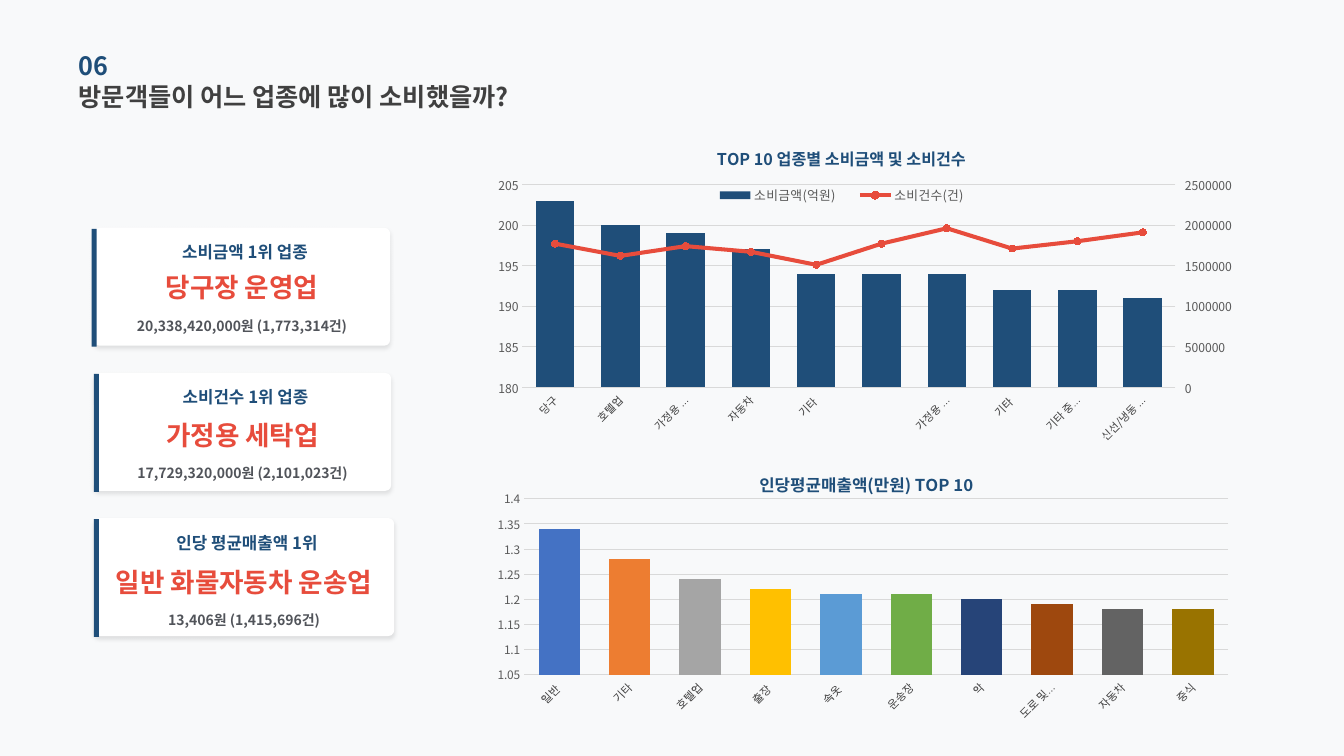
from copy import deepcopy

from lxml.etree import SubElement as Sub
from pptx import Presentation
from pptx.chart.axis import CategoryAxis as CatAxis, ValueAxis as ValAxis
from pptx.chart.data import CategoryChartData as ChartData
from pptx.dml.color import RGBColor as RGB
from pptx.enum.chart import (XL_CHART_TYPE as Kind, XL_LEGEND_POSITION as Spot,
                             XL_MARKER_STYLE as Mark, XL_TICK_MARK as Tick)
from pptx.enum.shapes import MSO_SHAPE as Form
from pptx.enum.text import MSO_ANCHOR as Anchor, MSO_AUTO_SIZE as Auto, PP_ALIGN as Align
from pptx.oxml import parse_xml
from pptx.oxml.ns import nsdecls, qn
from pptx.util import Inches, Pt

class Theme:
    font, base = "Noto Sans CJK KR", "Calibri"
    back, white, black = "F8F9FA", "FFFFFF", "000000"
    dark, note, gray, grid = "404040", "51545A", "595959", "D9D9D9"
    navy, red = "1F4E79", "E74C3C"
    bars = ("4472C4", "ED7D31", "A5A5A5", "FFC000", "5B9BD5",
            "70AD47", "264478", "9E480E", "636363", "997300")
    head, big, label, small = 18, 19, 12, 10
    cat, tick, fine, key = 8, 9, 8.5, 9.5

CARDS = [("소비금액 1위 업종", "당구장 운영업", "20,338,420,000원 (1,773,314건)"),
         ("소비건수 1위 업종", "가정용 세탁업", "17,729,320,000원 (2,101,023건)"),
         ("인당 평균매출액 1위", "일반 화물자동차 운송업", "13,406원 (1,415,696건)")]
SPEND = ["당구장 운영업", "호텔업", "가정용 액체 연료 소매업", "자동차 전문 수리업",
         "기타 통신 판매업", "연극단체", "가정용 직물제품 소매업", "기타 오락장 운영업",
         "기타 중고 상품 소매업", "신선/냉동 및 기타 수산물 소매업"]
SUMS = [203, 200, 199, 197, 194, 194, 194, 192, 192, 191]
COUNTS = [1770000, 1620000, 1740000, 1670000, 1510000,
          1770000, 1960000, 1710000, 1800000, 1910000]
SALES = ["일반 화물자동차 운송업", "기타 통신 판매업", "호텔업", "출장 음식 서비스업",
         "속옷 및 잠옷 소매업", "운송장비용 주유소 운영업", "악기 소매업",
         "도로 및 관련시설 운영업", "자동차 전문 수리업", "중식 음식점업"]
MEANS = [1.34, 1.28, 1.24, 1.22, 1.21, 1.21, 1.2, 1.19, 1.18, 1.18]

def paint(fill, color):
    fill.solid()
    fill.fore_color.rgb = RGB.from_string(color)

def style(font, size, color, bold=False, face=Theme.font):
    font.size, font.bold, font.name = Pt(size), bold, face
    paint(font.fill, color)

def write(shape, text, size, color, align=Align.LEFT):
    frame = shape.text_frame
    frame.text = text
    frame.word_wrap, frame.auto_size = True, Auto.NONE
    frame.vertical_anchor = Anchor.MIDDLE
    frame.margin_left = frame.margin_top = frame.margin_right = frame.margin_bottom = 0
    frame.paragraphs[0].alignment = align
    font = frame.paragraphs[0].runs[0].font
    style(font, size, color, True)
    latin = font._element.find(qn("a:latin"))
    latin.addnext(latin.makeelement(qn("a:ea"), {"typeface": Theme.font}))

def block(shapes, form, box, color):
    shape = shapes.add_shape(form, *map(Inches, box))
    shape.shadow.inherit = False
    paint(shape.fill, color)
    shape.line.fill.background()
    return shape

# Heading: number above the question
def heading(slide, box):
    x, y, w, h = box
    title = slide.shapes.title
    title.left, title.top, title.width, title.height = map(Inches, (x, y + 0.31, w, h))
    write(title, "방문객들이 어느 업종에 많이 소비했을까?", Theme.head, Theme.dark)
    num = slide.shapes.add_textbox(*map(Inches, box))
    write(num, "06", Theme.head, Theme.navy)

# Card: white panel, three lines of text and a side bar
def card(slide, box, lines, shift, edge):
    x, y, w, h = box
    group = slide.shapes.add_group_shape().shapes
    panel = block(group, Form.ROUNDED_RECTANGLE, box, Theme.white)
    panel.adjustments[0] = 0.05
    glow = Sub(panel._element.spPr.find(qn("a:effectLst")), qn("a:outerShdw"),
               blurRad=str(Pt(3)), dist=str(Pt(2)), dir="5400000")
    Sub(Sub(glow, qn("a:srgbClr"), val=Theme.black), qn("a:alpha"), val="10000")
    rows = [(0.03, 0.13, 0.22, Theme.label, Theme.navy),
            (0, 0.42 + shift, 0.34, Theme.big, Theme.red),
            (0, 0.89 + shift, 0.17, Theme.small, Theme.note)]
    for text, (dx, dy, tall, size, color) in zip(lines, rows):
        part = group.add_textbox(*map(Inches, (x + dx, y + dy, w, tall)))
        write(part, text, size, color, Align.CENTER)
    block(slide.shapes, Form.RECTANGLE, (edge, y + 0.01, 0.05, h), Theme.navy)

# Fixed position of a chart part, in shares of the chart
def pin(part, *box):
    for old in part.findall(qn("c:layout")):
        part.remove(old)
    goal = '<c:layoutTarget val="inner"/>' if part.tag == qn("c:plotArea") else ""
    sides = "".join(f'<c:{tag} val="{val}"/>' for tag, val in zip("xywh", box))
    layout = parse_xml(f'<c:layout {nsdecls("c")}><c:manualLayout>{goal}<c:xMode val="edge"/>'
                       f'<c:yMode val="edge"/>{sides}</c:manualLayout></c:layout>')
    over = part.find(qn("c:overlay"))
    if over is None:
        part.insert(0, layout)
    else:
        over.addprevious(layout)

def scale(axis, low, high, step):
    axis.minimum_scale, axis.maximum_scale, axis.major_unit = low, high, step

# Column chart with its title and axes
def columns(slide, box, names, rows, title, spot, plot, span, size):
    data = ChartData()
    data.categories = names
    for name, vals in rows:
        data.add_series(name, vals)
    chart = slide.shapes.add_chart(Kind.COLUMN_CLUSTERED, *map(Inches, box), data).chart
    style(chart.font, Theme.small, Theme.black, face=Theme.base)
    chart.has_legend = False
    head = chart.chart_title
    head.text_frame.text = title
    style(head.text_frame.paragraphs[0].runs[0].font, Theme.label, Theme.navy, True)
    pin(head._element, *spot)
    pin(chart._chartSpace.chart.plotArea, *plot)
    bars = chart.plots[0]
    bars.gap_width, bars.overlap, bars.vary_by_categories = 70, -27, False
    cat, val = chart.category_axis, chart.value_axis
    for axis, pts in ((cat, Theme.cat), (val, size)):
        axis.major_tick_mark = Tick.NONE
        style(axis.tick_labels.font, pts, Theme.gray)
    cat._element.find(qn("c:txPr")).find(qn("a:bodyPr")).set("rot", "-2700000")
    val.tick_labels.number_format = "General"
    val.tick_labels.number_format_is_linked = False
    scale(val, *span)
    val.format.line.fill.background()
    for line in (cat.format.line, val.major_gridlines.format.line):
        paint(line.fill, Theme.grid)
        line.width = Pt(0.75)
    return chart

# Spending chart: columns plus a line on the right axis
def spending(slide, box):
    rows = [("소비금액(억원)", SUMS), ("소비건수(건)", COUNTS)]
    chart = columns(slide, box, SPEND, rows, "TOP 10 업종별 소비금액 및 소비건수", (0.31, 0.05),
                    (0.04, 0.19, 0.92, 0.66), (180, 205, 5), Theme.tick)
    area = chart._chartSpace.chart.plotArea
    first, second = chart.plots[0].series
    paint(first.format.fill, Theme.navy)
    ser = second._element
    for flag in ser.findall(qn("c:invertIfNegative")):
        ser.remove(flag)
    wire = parse_xml(f'<c:lineChart {nsdecls("c")}><c:grouping val="standard"/>'
                     '<c:varyColors val="0"/><c:marker val="1"/>'
                     '<c:axId val="501"/><c:axId val="502"/></c:lineChart>')
    wire.find(qn("c:marker")).addprevious(ser)
    area.find(qn("c:barChart")).addnext(wire)
    cat, val = (deepcopy(axis._element) for axis in (chart.category_axis, chart.value_axis))
    for axis, own, other in ((cat, "501", "502"), (val, "502", "501")):
        axis.find(qn("c:axId")).set("val", own)
        axis.find(qn("c:crossAx")).set("val", other)
    area.find(qn("c:valAx")).addnext(val)
    val.addnext(cat)
    CatAxis(cat).visible = False
    val.find(qn("c:axPos")).set("val", "r")
    val.find(qn("c:crosses")).set("val", "max")
    right = ValAxis(val)
    right.has_major_gridlines, right.major_tick_mark = False, Tick.OUTSIDE
    scale(right, 0, 2500000, 500000)
    trend = chart.plots[1].series[0]
    trend.smooth, trend.format.line.width = False, Pt(3)
    trend.marker.style, trend.marker.size = Mark.CIRCLE, 5
    dot = trend.marker.format
    for fill in (trend.format.line.fill, dot.fill, dot.line.fill):
        paint(fill, Theme.red)
    chart.has_legend = True
    chart.legend.position, chart.legend.include_in_layout = Spot.TOP, False
    style(chart.legend.font, Theme.key, Theme.gray)
    pin(chart.legend._element, 0.29, 0.18, 0.4, 0.09)

# Sales chart: one colour for each column
def sales(slide, box):
    chart = columns(slide, box, SALES, [("Series 1", MEANS)], "인당평균매출액(만원) TOP 10",
                    (0.35, 0.06), (0.04, 0.18, 0.94, 0.67), (1.05, 1.4, 0.05), Theme.fine)
    for i, color in enumerate(Theme.bars):
        paint(chart.plots[0].series[0].points[i].format.fill, color)

def main():
    deck = Presentation()
    deck.slide_width, deck.slide_height = Inches(13.33), Inches(7.5)
    slide = deck.slides.add_slide(deck.slide_layouts[5])
    paint(slide.background.fill, Theme.back)
    heading(slide, (0.78, 0.44, 4.52, 0.41))
    for i, (lines, wide, edge) in enumerate(zip(CARDS, (2.94, 2.95, 2.98), (0.91, 0.93, 0.93))):
        card(slide, (0.93, 2.26 + 1.44 * i, wide, 1.17), lines, 0.02 * i, edge)
    spending(slide, (4.9, 1.25, 7.32, 3.15))
    sales(slide, (4.9, 4.48, 7.43, 2.67))
    deck.save("out.pptx")

if __name__ == "__main__":
    main()
